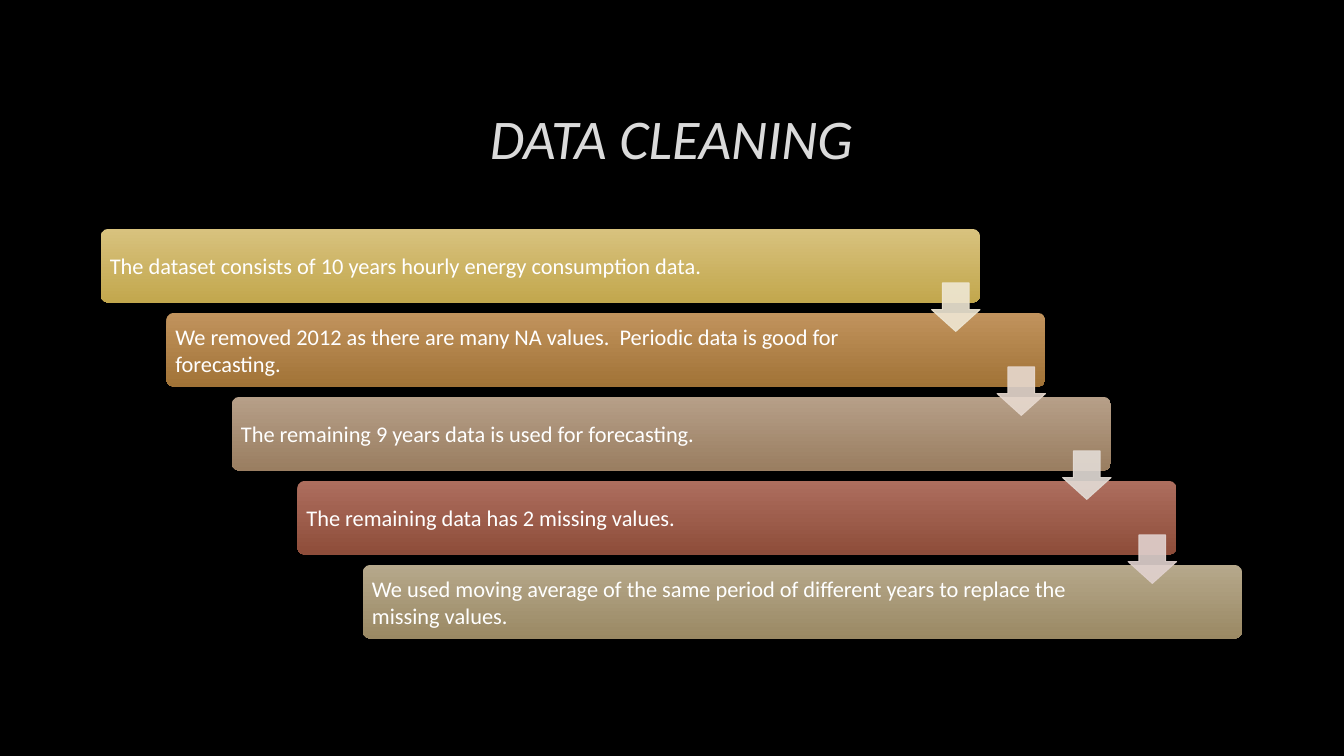
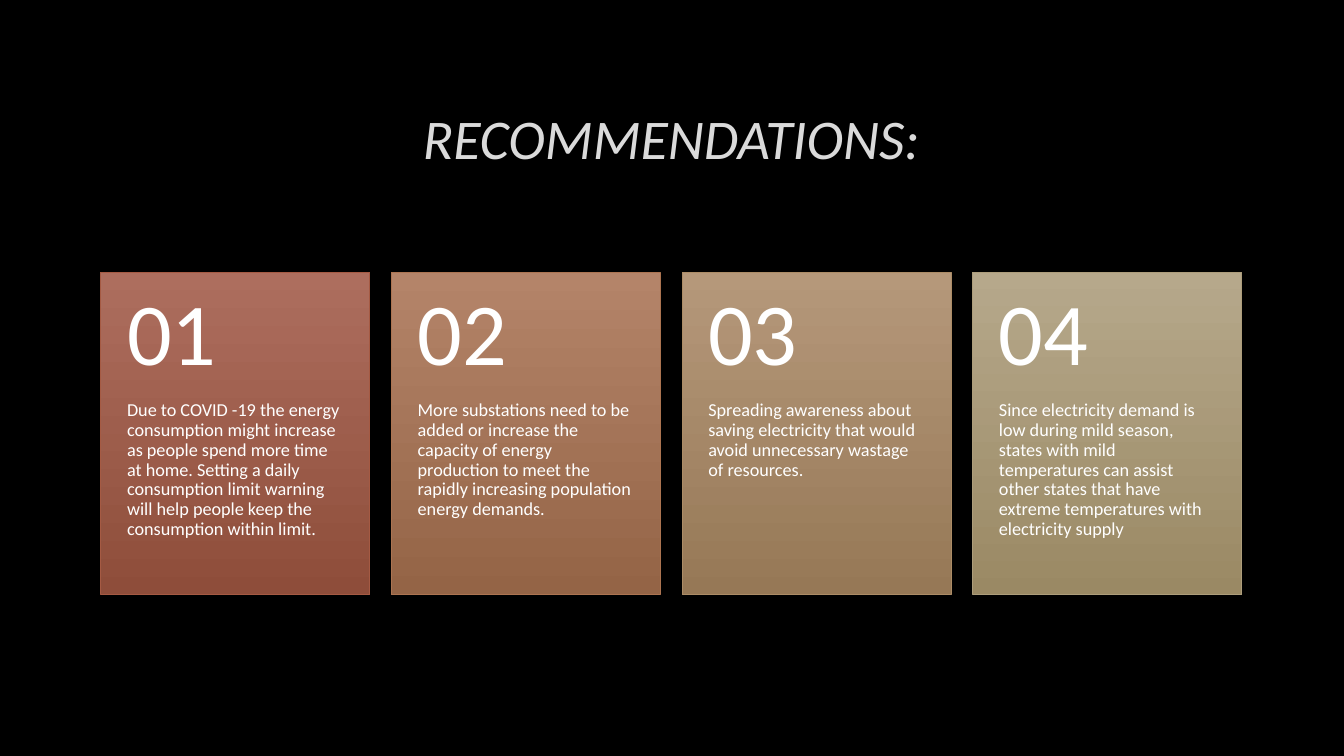
import lxml.etree
import pptx
import pptx.dml.color
import pptx.enum.shapes
import pptx.enum.text
import pptx.oxml.ns
import pptx.util

Pt = pptx.util.Pt
Shape = pptx.enum.shapes.MSO_SHAPE
Anchor = pptx.enum.text.MSO_ANCHOR
Align = pptx.enum.text.PP_ALIGN

FONT = "Calibri"
BACKGROUND = "000000"
TITLE_COLOR = "DADADA"
TEXT_COLOR = "FFFFFF"
LEFT, CONTENT_WIDTH = 72, 815

BAR_WIDTH, BAR_HEIGHT, BAR_TOP = 628, 52.6, 163.5
BAR_STEP_X, BAR_STEP_Y = 46.8, 60
ARROW_SIZE, ARROW_DROP = 34.6, 38.6

CARD_WIDTH, CARD_HEIGHT, CARD_TOP = 192.2, 230.6, 194.4
NUMBER_HEIGHT = 92.2
CARD_INSET = 18.8

CLEANING_STEPS = [
    ("The dataset consists of 10 years hourly energy consumption data.",
     "D8C27E", "C2A74D"),
    ("We removed 2012 as there are many NA values.  Periodic data is good for forecasting.",
     "C1935D", "A17337"),
    ("The remaining 9 years data is used for forecasting.",
     "B69F88", "9A7E61"),
    ("The remaining data has 2 missing values.",
     "AD6E5E", "8E4D3A"),
    ("We used moving average of the same period of different years to replace the missing values.",
     "B6A88B", "9A8964"),
]
ARROW_COLORS = ["EFE7D4", "E7D9CF", "E3DCD6", "E1D2CF"]

RECOMMENDATIONS = [
    ("Due to COVID -19 the energy consumption might increase as people spend more time at home. "
     "Setting a daily consumption limit warning will help people keep the consumption within limit.",
     "AD6E5E", "8E4D3A", "A55A43"),
    ("More substations need to be added or increase the capacity of energy production to meet "
     "the rapidly increasing population energy demands.",
     "B48469", "946446", "AC7451"),
    ("Spreading awareness about saving electricity that would avoid unnecessary wastage of resources.",
     "B5987A", "967856", "AC8C66"),
    ("Since electricity demand is low during mild season, states with mild temperatures can assist "
     "other states that have extreme temperatures with electricity supply",
     "B6A88B", "9A8964", "AD9D7B"),
]


def rgb(value):
    """Turn a hex string into a colour."""
    return pptx.dml.color.RGBColor.from_string(value)


def write(shape, text, size, insets, anchor, color=TEXT_COLOR, align=Align.LEFT,
          italic=False, line_spacing=None):
    """Write one formatted paragraph, with insets as left, top, right, bottom."""
    frame = shape.text_frame
    frame.word_wrap = True
    frame.vertical_anchor = anchor
    (frame.margin_left, frame.margin_top,
     frame.margin_right, frame.margin_bottom) = map(Pt, insets)
    paragraph = frame.paragraphs[0]
    paragraph.alignment = align
    paragraph.line_spacing = line_spacing
    run = paragraph.add_run()
    run.text = text
    run.font.name = FONT
    run.font.size = Pt(size)
    run.font.italic = italic
    run.font.color.rgb = rgb(color)


def add_titled_slide(deck, title):
    """Add a title-only slide with the shared title style."""
    slide = deck.slides.add_slide(deck.slide_layouts[5])
    heading = slide.shapes.title
    heading.left, heading.top = Pt(LEFT), Pt(48)
    heading.width, heading.height = Pt(CONTENT_WIDTH), Pt(99.4)
    write(heading, title, 40, (7.2, 3.6, 7.2, 3.6), Anchor.MIDDLE,
          TITLE_COLOR, Align.CENTER, italic=True)
    return slide


def add_gradient_shape(slide, kind, box, top_color, bottom_color, line_color=None):
    """Add a shape shaded from top to bottom."""
    shape = slide.shapes.add_shape(kind, *map(Pt, box))
    shape.shadow.inherit = False
    shape.fill.gradient()
    shape.fill.gradient_angle = 270
    for stop, color in zip(shape.fill.gradient_stops, (top_color, bottom_color)):
        stop.color.rgb = rgb(color)
    if line_color:
        shape.line.color.rgb = rgb(line_color)
        shape.line.width = Pt(0.75)
    else:
        shape.line.fill.background()
    return shape


def add_step_bar(slide, index, text, top_color, bottom_color):
    """Add one bar of the staircase."""
    box = (LEFT + index * BAR_STEP_X, BAR_TOP + index * BAR_STEP_Y, BAR_WIDTH, BAR_HEIGHT)
    bar = add_gradient_shape(slide, Shape.ROUNDED_RECTANGLE, box, top_color, bottom_color)
    bar.adjustments[0] = 0.1
    write(bar, text, 16, (5, 5, 86.3, 5), Anchor.MIDDLE)


def add_step_arrow(slide, index, color):
    """Add the translucent arrow from one bar to the next."""
    left = LEFT + index * BAR_STEP_X + BAR_WIDTH - ARROW_SIZE
    top = BAR_TOP + index * BAR_STEP_Y + ARROW_DROP
    arrow = slide.shapes.add_shape(Shape.DOWN_ARROW, Pt(left), Pt(top),
                                   Pt(ARROW_SIZE), Pt(ARROW_SIZE))
    arrow.shadow.inherit = False
    arrow.adjustments[0], arrow.adjustments[1] = 0.55, 0.45
    arrow.fill.solid()
    arrow.fill.fore_color.rgb = rgb(color)
    arrow.line.color.rgb = rgb(color)
    arrow.line.width = Pt(0.75)
    qn = pptx.oxml.ns.qn
    for tint in list(arrow.element.spPr.iter(qn("a:srgbClr"))):
        lxml.etree.SubElement(tint, qn("a:alpha"), val="90000")


def add_card(slide, index, text, top_color, bottom_color, line_color):
    """Add one numbered recommendation card."""
    pitch = (CONTENT_WIDTH - CARD_WIDTH) / (len(RECOMMENDATIONS) - 1)
    left = LEFT + index * pitch
    body_height = CARD_HEIGHT - NUMBER_HEIGHT
    card = add_gradient_shape(slide, Shape.RECTANGLE,
                              (left, CARD_TOP, CARD_WIDTH, CARD_HEIGHT),
                              top_color, bottom_color, line_color)
    write(card, f"{index + 1:02d}", 63, (CARD_INSET, 13, CARD_INSET, body_height + 13),
          Anchor.MIDDLE, line_spacing=0.9)
    advice = slide.shapes.add_textbox(Pt(left), Pt(CARD_TOP + NUMBER_HEIGHT),
                                      Pt(CARD_WIDTH), Pt(body_height))
    write(advice, text, 13, (CARD_INSET, 0, CARD_INSET, 26), Anchor.TOP, line_spacing=0.9)


def main():
    """Build and save the presentation."""
    deck = pptx.Presentation()
    deck.slide_width, deck.slide_height = Pt(960), Pt(540)
    backdrop = deck.slide_master.background.fill
    backdrop.solid()
    backdrop.fore_color.rgb = rgb(BACKGROUND)

    cleaning = add_titled_slide(deck, "DATA CLEANING")
    for index, step in enumerate(CLEANING_STEPS):
        add_step_bar(cleaning, index, *step)
    for index, color in enumerate(ARROW_COLORS):
        add_step_arrow(cleaning, index, color)

    advice = add_titled_slide(deck, "RECOMMENDATIONS:")
    for index, recommendation in enumerate(RECOMMENDATIONS):
        add_card(advice, index, *recommendation)

    deck.save("out.pptx")


if __name__ == "__main__":
    main()
